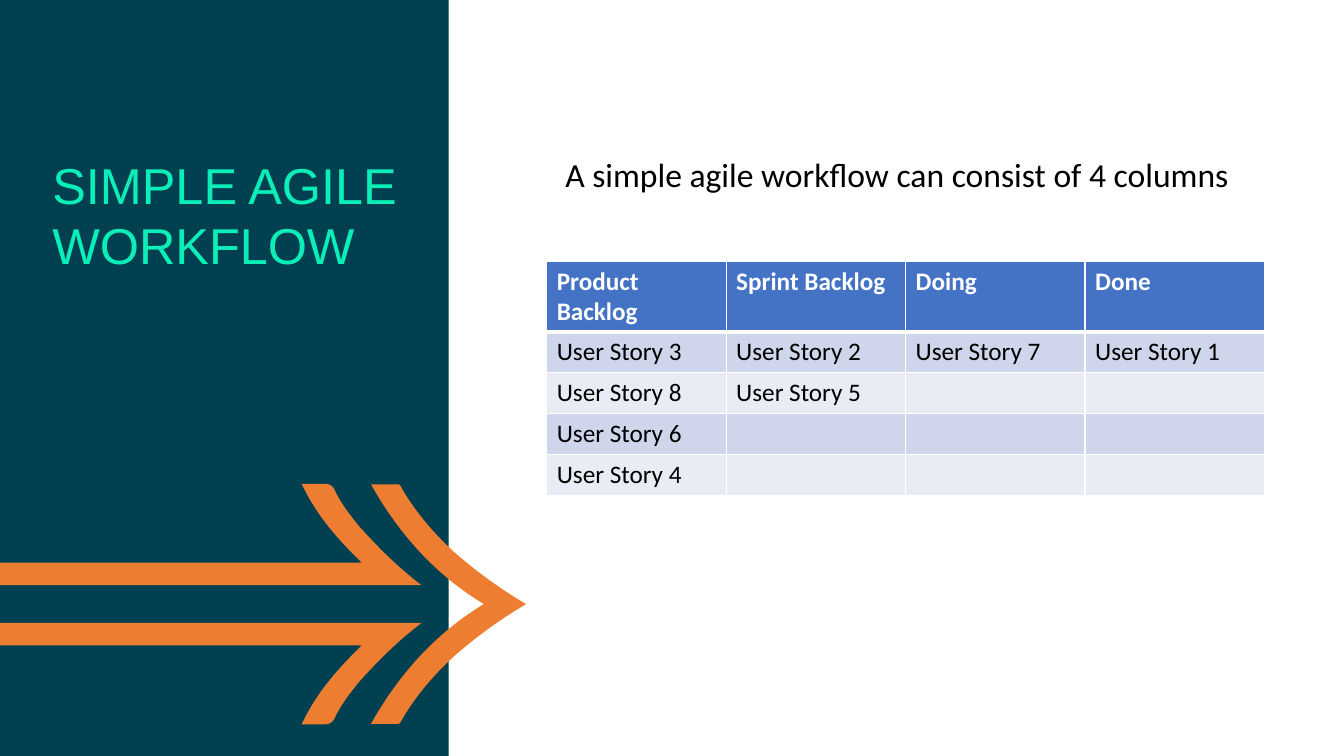
from lxml.etree import SubElement
from pptx import Presentation
from pptx.dml.color import RGBColor
from pptx.oxml.ns import qn
from pptx.util import Pt

COLORS = {"panel": "004050", "arrow": "ED7D31", "title": "0BEEB7", "text": "000000",
          "header": "4472C4", "white": "FFFFFF", "odd": "CFD5EA", "even": "E9EBF5"}
TITLE = "SIMPLE AGILE WORKFLOW"
INTRO = "A simple agile workflow can consist of 4 columns"
ROWS = [
    ("Product Backlog", "Sprint Backlog", "Doing", "Done"),
    ("User Story 3", "User Story 2", "User Story 7", "User Story 1"),
    ("User Story 8", "User Story 5", "", ""),
    ("User Story 6", "", "", ""),
    ("User Story 4", "", "", ""),
]
AXIS = 431.5
SHAFT = [
    [(301, 418)], [(0, 418)], [(0, 402)], [(258.5, 402)],
    [(241, 385), (226, 368), (215.5, 345.6)],
    [(232.5, 345.6)],
    [(235, 345.6), (237.5, 347), (238.5, 349)],
    [(243, 359), (250, 368), (257, 376.5)],
    [(270, 391), (284, 405), (301, 418)],
]
HEAD = [
    [(345.6, AXIS)],
    [(311, 410.5), (285, 381.5), (265, 346)],
    [(283.5, 346)],
    [(285, 346), (286, 346), (286, 347)],
    [(296, 365), (309, 380), (324, 394)],
    [(340, 408), (357, 420.5), (375.8, AXIS)],
    [(357, 442.5), (340, 455), (324, 469)],
    [(309, 483), (296, 498), (286, 516)],
    [(286, 517), (285, 517), (283.5, 517)],
    [(265, 517)],
    [(285, 481.5), (311, 452.5), (345.6, AXIS)],
]


def rgb(name):
    return RGBColor.from_string(COLORS[name])


def paint(sp, color):
    sp.fill.solid()
    sp.fill.fore_color.rgb = rgb(color)
    sp.line.fill.background()
    sp.shadow.inherit = False


def mirror(segments):
    return [[(x, 2 * AXIS - y) for x, y in seg] for seg in segments]


def add_outline(s, segments):
    points = [(Pt(x), Pt(y)) for seg in segments for x, y in seg]
    builder = s.shapes.build_freeform(*points[0], scale=1.0)
    builder.add_line_segments(points[1:], close=True)
    sp = builder.convert_to_shape()
    paint(sp, "arrow")
    lines = iter(list(sp._element.iter(qn("a:lnTo"))))
    for seg in segments[1:]:
        first, *others = [next(lines) for _ in seg]
        if others:
            first.tag = qn("a:cubicBezTo")
            for line in others:
                first.append(line[0])
                line.getparent().remove(line)


def style(p, size, font, color, bold=False):
    p.font.size = Pt(size)
    p.font.name = font
    p.font.bold = bold
    p.font.color.rgb = rgb(color)


def add_text(s, text, box, size, font, color, spacing):
    tf = s.shapes.add_textbox(*map(Pt, box)).text_frame
    tf.word_wrap = True
    p = tf.paragraphs[0]
    p.text = text
    p.line_spacing = spacing
    style(p, size, font, color)


def add_borders(cell, widths):
    tc_pr = cell._tc.get_or_add_tcPr()
    for side, width in zip("LRTB", widths):
        ln = SubElement(tc_pr, qn(f"a:ln{side}"), w=str(Pt(width)))
        SubElement(SubElement(ln, qn("a:solidFill")), qn("a:srgbClr"), val=COLORS["white"])


def add_board(s):
    frame = s.shapes.add_table(len(ROWS), len(ROWS[0]), Pt(390.5), Pt(186.5),
                               Pt(512.8), Pt(146))
    for i, row in enumerate(ROWS):
        frame.table.rows[i].height = Pt(29.2)
        fill = "header" if i == 0 else "odd" if i % 2 else "even"
        for j, text in enumerate(row):
            cell = frame.table.cell(i, j)
            add_borders(cell, (1, 1, 3 if i == 1 else 1, 1 if i else 3))
            cell.fill.solid()
            cell.fill.fore_color.rgb = rgb(fill)
            p = cell.text_frame.paragraphs[0]
            style(p, 18, "Calibri", "text" if i else "white", i == 0)
            if text:
                p.text = text
    frame.height = Pt(167.2)


def main():
    prs = Presentation()
    prs.slide_width, prs.slide_height = Pt(960), Pt(540)
    s = prs.slides.add_slide(prs.slide_layouts[6])
    paint(s.shapes.add_shape(1, 0, 0, Pt(320.4), Pt(540)), "panel")
    for outline in (SHAFT, HEAD, mirror(SHAFT)):
        add_outline(s, outline)
    add_text(s, TITLE, (30.4, 106.6, 271.4, 216.7), 36, "Arial", "title", Pt(43))
    add_text(s, INTRO, (396.7, 106.6, 532.8, 403.2), 24, "Calibri", "text", 1.0)
    add_board(s)
    prs.save("out.pptx")


if __name__ == "__main__":
    main()
